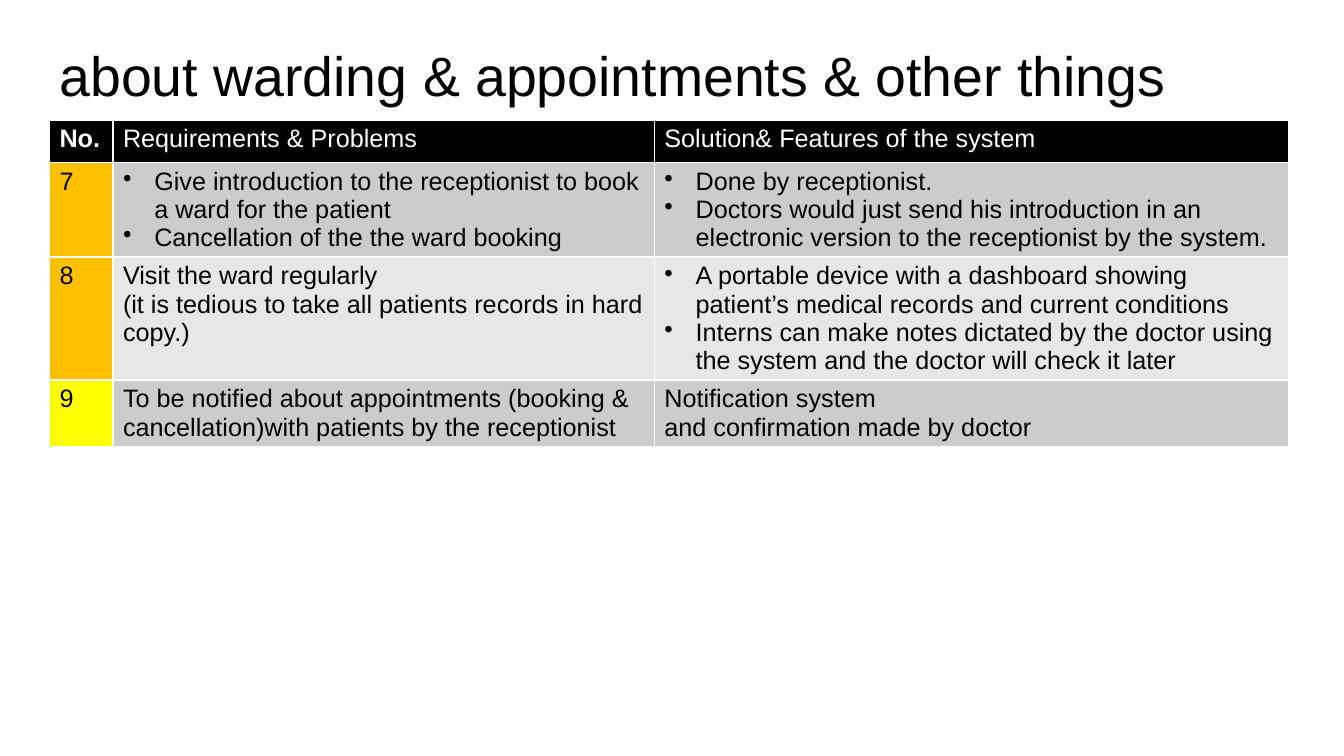
import dataclasses
import pptx
import pptx.dml.color
import pptx.enum.text
import pptx.oxml.ns
import pptx.util
import lxml.etree

PX = 9144


@dataclasses.dataclass(frozen=True)
class Theme:
    """Colours, font and type sizes of the slide."""
    font: str = "Arial"
    head: float = 39.6
    text: int = 18
    black: str = "000000"
    white: str = "FFFFFF"
    amber: str = "FFC000"
    yellow: str = "FFFF00"
    bands: tuple = ("CCCCCC", "E7E7E7")


LOOK = Theme()
TITLE = "about warding & appointments & other things"
HEADS = ("No.", "Requirements & Problems", "Solution& Features of the system")
ROWS = (
    (LOOK.amber, "7",
     ["• Give introduction to the receptionist to book a ward for the patient",
      "• Cancellation of the the ward booking"],
     ["• Done by receptionist.",
      "• Doctors would just send his introduction in an electronic version to the receptionist by the system."]),
    (LOOK.amber, "8",
     ["Visit the ward regularly",
      "(it is tedious to take all patients records in hard copy.)"],
     ["• A portable device with a dashboard showing patient’s medical records and current conditions",
      "• Interns can make notes dictated by the doctor using the system and the doctor will check it later"]),
    (LOOK.yellow, "9",
     ["To be notified about appointments (booking & cancellation)with patients by the receptionist"],
     ["Notification system", "and confirmation made by doctor"]),
)


def rgb(code):
    """Turn a hex code into a colour."""
    return pptx.dml.color.RGBColor.from_string(code)


def style(para, size, color, bold=False):
    """Format every run of a paragraph."""
    for run in para.runs:
        run.font.name = LOOK.font
        run.font.size = pptx.util.Pt(size)
        run.font.bold = bold
        run.font.color.rgb = rgb(color)


def bullet(para):
    """Give a paragraph a hanging bullet."""
    props = para._p.get_or_add_pPr()
    props.set("marL", str(31 * PX))
    props.set("indent", str(-31 * PX))
    mark = lxml.etree.SubElement(props, pptx.oxml.ns.qn("a:buChar"))
    mark.set("char", "•")


def fill_cell(cell, lines, fill, color=LOOK.black, bold=False):
    """Fill a cell with colour and lines, those led by a dot as bullets."""
    cell.fill.solid()
    cell.fill.fore_color.rgb = rgb(fill)
    frame = cell.text_frame
    frame.text = "\n".join(line.removeprefix("• ") for line in lines)
    for line, para in zip(lines, frame.paragraphs):
        style(para, LOOK.text, color, bold)
        if line.startswith("• "):
            bullet(para)


def add_title(slide, box):
    """Place and format the title in its box."""
    title = slide.shapes.title
    title.left, title.top, title.width, title.height = (n * PX for n in box)
    frame = title.text_frame
    frame.text = TITLE
    frame.word_wrap = True
    frame.auto_size = pptx.enum.text.MSO_AUTO_SIZE.NONE
    frame.vertical_anchor = pptx.enum.text.MSO_ANCHOR.MIDDLE
    para = frame.paragraphs[0]
    para.alignment = pptx.enum.text.PP_ALIGN.LEFT
    para.line_spacing = 0.9
    style(para, LOOK.head, LOOK.black)


def add_needs(slide, box):
    """Place the table of needs and solutions in its box."""
    left, top, width, height = (n * PX for n in box)
    table = slide.shapes.add_table(len(ROWS) + 1, len(HEADS), left, top, width, height).table
    slim, mid = 63 * PX, 537 * PX
    for col, span in zip(table.columns, (slim, mid, width - slim - mid)):
        col.width = span
    for col, head in enumerate(HEADS):
        fill_cell(table.cell(0, col), [head], LOOK.black, LOOK.white, col == 0)
    for row, (tint, num, need, answer) in enumerate(ROWS, 1):
        band = LOOK.bands[(row - 1) % 2]
        fill_cell(table.cell(row, 0), [num], tint)
        fill_cell(table.cell(row, 1), need, band)
        fill_cell(table.cell(row, 2), answer, band)


def main():
    """Build the slide and save it."""
    deck = pptx.Presentation()
    deck.slide_width, deck.slide_height = 1333 * PX, 750 * PX
    slide = deck.slides.add_slide(deck.slide_layouts.get_by_name("Title Only"))
    add_title(slide, (49, 5, 1150, 145))
    add_needs(slide, (49, 119, 1229, 168))
    deck.save("out.pptx")


if __name__ == "__main__":
    main()
